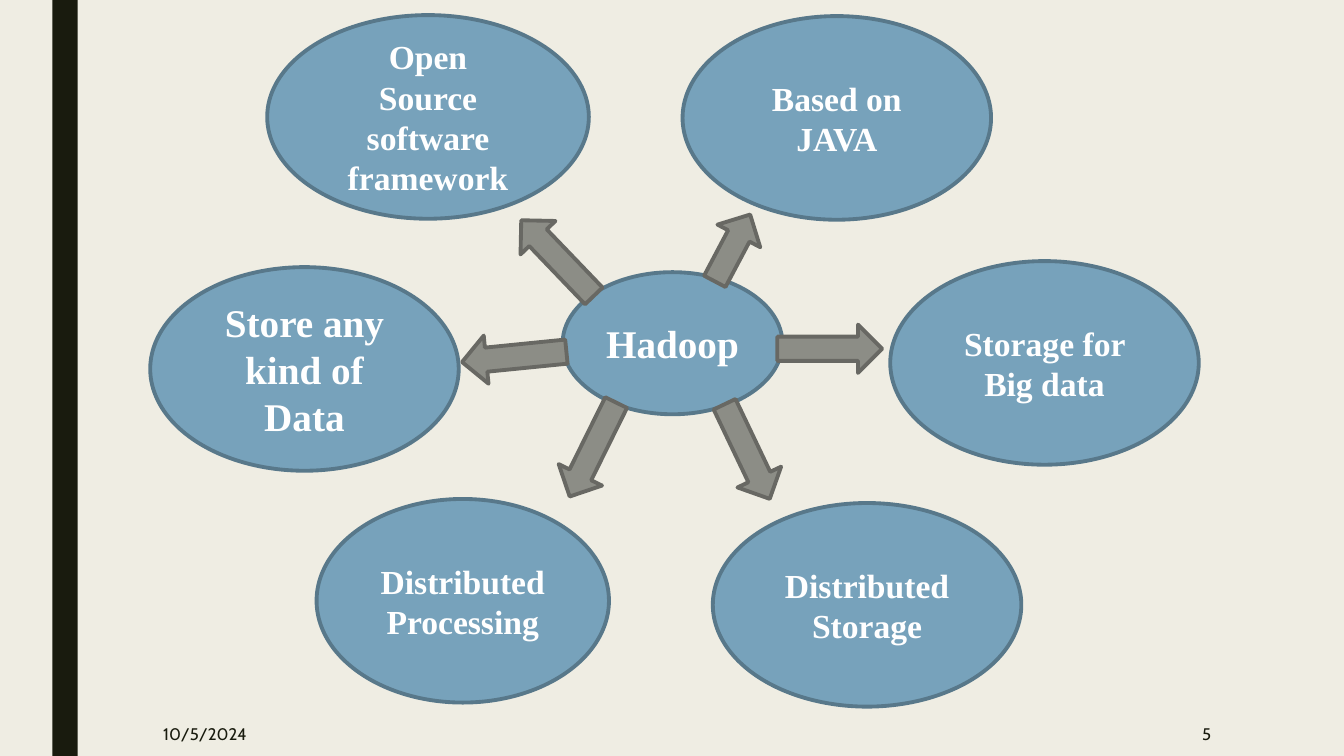
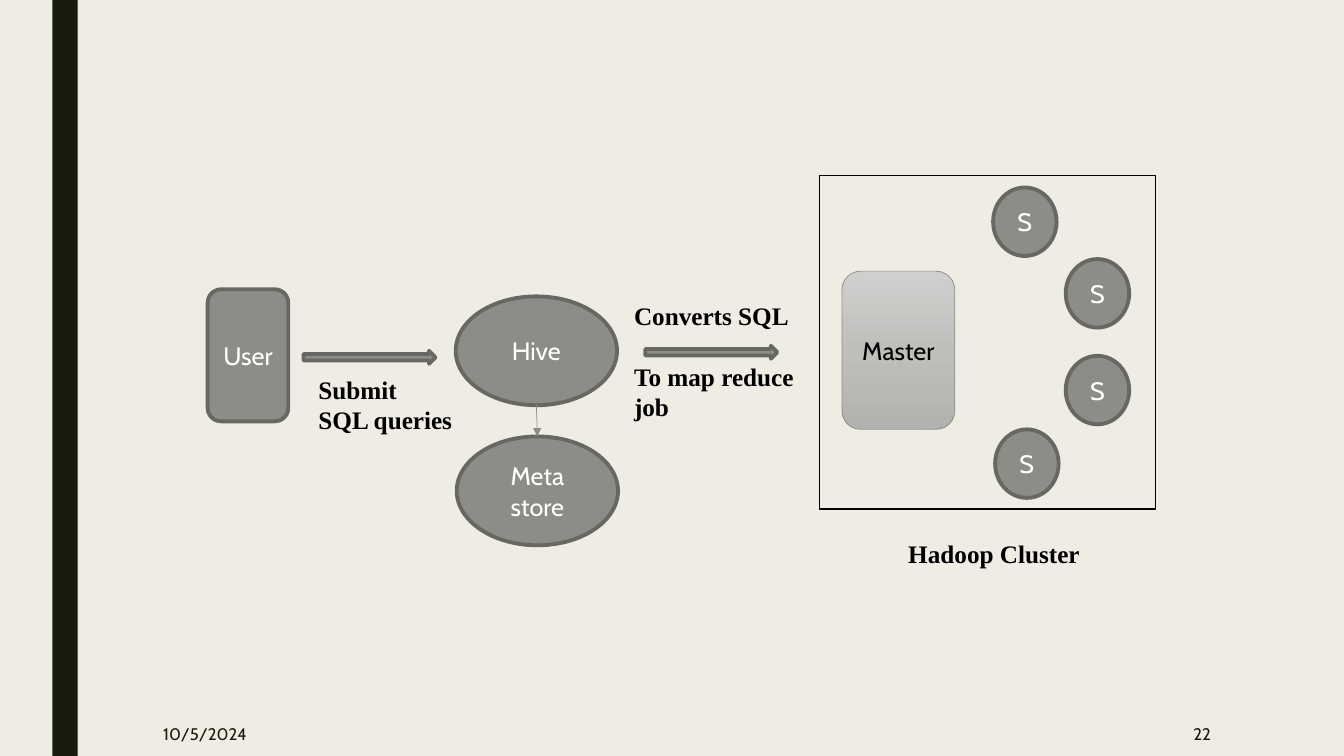
import copy

import pptx
import pptx.dml.color
import pptx.enum.shapes
import pptx.enum.text
import pptx.oxml
import pptx.oxml.ns
import pptx.util

Inches = pptx.util.Inches
Pt = pptx.util.Pt
RGBColor = pptx.dml.color.RGBColor
SHAPE = pptx.enum.shapes.MSO_SHAPE
ALIGN = pptx.enum.text.PP_ALIGN
ANCHOR = pptx.enum.text.MSO_ANCHOR
qn = pptx.oxml.ns.qn

CREAM = RGBColor(0xEF, 0xED, 0xE3)
INK = RGBColor(0x19, 0x1B, 0x0E)
BLUE = RGBColor(0x77, 0xA2, 0xBB)
BLUE_EDGE = RGBColor(0x58, 0x78, 0x8A)
GRAY = RGBColor(0x8C, 0x8D, 0x86)
GRAY_EDGE = RGBColor(0x68, 0x68, 0x63)
WHITE = RGBColor(0xFF, 0xFF, 0xFF)
BLACK = RGBColor(0x00, 0x00, 0x00)
MASTER_STOPS = [
    (0, RGBColor(0xCF, 0xCF, 0xCD)),
    (0.5, RGBColor(0xBE, 0xBE, 0xBB)),
    (1, RGBColor(0xB2, 0xB3, 0xAF)),
]

FOOTER = {"name": "Cabin", "size": Pt(12)}
NODE = {"name": "Cabin", "size": Pt(18)}
LABEL = {"name": "Times New Roman", "size": Pt(18), "bold": True}
FEATURE = {"name": "Times New Roman", "size": Pt(24), "bold": True}
FEATURE_LARGE = {**FEATURE, "size": Pt(28)}


def inches(box):
    return [Inches(v) for v in box]


def write(shape, text, font, color, align, anchor, gap=0):
    tf = shape.text_frame
    tf.word_wrap = True
    tf.vertical_anchor = anchor
    for i, line in enumerate(text.split("\n")):
        p = tf.add_paragraph() if i else tf.paragraphs[0]
        p.alignment = align
        if i and gap:
            p.space_before = Pt(gap)
        r = p.add_run()
        r.text = line
        for key, value in font.items():
            setattr(r.font, key, value)
        r.font.color.rgb = color


def add_text(s, box, text, font=LABEL, color=BLACK, align=ALIGN.LEFT, anchor=ANCHOR.TOP, gap=0):
    tb = s.shapes.add_textbox(*inches(box))
    write(tb, text, font, color, align, anchor, gap)


def add_shape(s, kind, box, fill=GRAY, edge=GRAY_EDGE, width=2.75, rotation=0):
    sp = s.shapes.add_shape(kind, *inches(box))
    sp.shadow.inherit = False
    sp.rotation = rotation
    if fill is None:
        sp.fill.background()
    else:
        sp.fill.solid()
        sp.fill.fore_color.rgb = fill
    if edge is None:
        sp.line.fill.background()
    else:
        sp.line.color.rgb = edge
        sp.line.width = Pt(width)
    return sp


def add_node(s, kind, box, text, font=NODE, color=WHITE, **look):
    sp = add_shape(s, kind, box, **look)
    write(sp, text, font, color, ALIGN.CENTER, ANCHOR.MIDDLE)
    return sp


def add_gradient(sp, stops):
    sp.fill.gradient()
    sp.fill.gradient_angle = 270
    gs_list = sp._element.spPr.find(qn("a:gradFill")).find(qn("a:gsLst"))
    while len(gs_list) < len(stops):
        gs_list.append(copy.deepcopy(gs_list[0]))
    for stop, (position, color) in zip(sp.fill.gradient_stops, stops):
        stop.position = position
        stop.color.rgb = color


def add_link(s, start, end):
    line = s.shapes.add_connector(
        pptx.enum.shapes.MSO_CONNECTOR.STRAIGHT, *inches(start + end))
    line.line.color.rgb = GRAY
    line.line.width = Pt(0.5)
    tail = pptx.oxml.parse_xml(
        '<a:tailEnd xmlns:a="http://schemas.openxmlformats.org/drawingml/2006/main" type="triangle"/>')
    line.line._get_or_add_ln().append(tail)
    sp_pr = line._element.spPr
    sp_pr.append(sp_pr.makeelement(qn("a:effectLst"), {}))


def add_base(prs, number):
    s = prs.slides.add_slide(prs.slide_layouts[6])
    add_shape(s, SHAPE.RECTANGLE, (0.52, 0, 0.25, 7.5), fill=INK, edge=None)
    add_text(s, (1.52, 7.06, 1.32, 0.44), "10/5/2024", FOOTER, INK, anchor=ANCHOR.MIDDLE)
    add_text(s, (10.36, 7.06, 1.75, 0.44), str(number), FOOTER, INK, ALIGN.RIGHT, ANCHOR.MIDDLE)
    return s


def build_features(prs):
    s = add_base(prs, 5)
    features = [
        ((5.58, 2.7, 2.18, 1.41), "Hadoop", FEATURE_LARGE),
        ((6.77, 0.16, 3.06, 2.02), "Based on JAVA", FEATURE),
        ((2.65, 0.15, 3.19, 2.02), "Open\nSource software framework", FEATURE),
        ((1.49, 2.65, 3.06, 2.02), "Store any kind of Data", FEATURE_LARGE),
        ((7.07, 4.99, 3.06, 2.02), "Distributed Storage", FEATURE),
        ((3.14, 4.95, 2.9, 2.02), "Distributed Processing", FEATURE),
        ((8.83, 2.59, 3.06, 2.02), "Storage for Big data", FEATURE),
    ]
    for box, text, font in features:
        add_node(s, SHAPE.OVAL, box, text, font, fill=BLUE, edge=BLUE_EDGE)
    arrows = [
        (7.71, 3.22, 1.04, 0),
        (4.58, 3.3, 1.04, 174.3),
        (6.89, 2.22, 0.75, 297.9),
        (6.89, 4.24, 1.04, 64.5),
        (5.36, 4.22, 1.04, 116.3),
        (5.01, 2.32, 1.04, 226.2),
    ]
    for left, top, length, angle in arrows:
        add_shape(s, SHAPE.RIGHT_ARROW, (left, top, length, 0.48), rotation=angle)


def build_hive_flow(prs):
    s = add_base(prs, 22)
    add_node(s, SHAPE.ROUNDED_RECTANGLE, (2.06, 2.87, 0.8, 1.31), "User")
    add_node(s, SHAPE.OVAL, (4.52, 2.94, 1.6, 1.08), "Hive")
    add_shape(s, SHAPE.RECTANGLE, (8.13, 1.74, 3.33, 3.31), fill=None, edge=BLACK, width=0.75)
    master = add_node(s, SHAPE.ROUNDED_RECTANGLE, (8.35, 2.69, 1.12, 1.57), "Master",
                      color=BLACK, edge=GRAY, width=0.5)
    add_gradient(master, MASTER_STOPS)
    for left, top in [(9.85, 1.86), (10.57, 2.57), (10.57, 3.53), (9.87, 4.26)]:
        add_node(s, SHAPE.OVAL, (left, top, 0.63, 0.68), "S")
    for left, top in [(3.01, 3.48), (6.4, 3.43)]:
        add_shape(s, SHAPE.RIGHT_ARROW, (left, top, 1.31, 0.13))
    add_text(s, (3.06, 3.66, 1.71, 0.71), "Submit\nSQL queries")
    add_text(s, (6.19, 2.93, 2.03, 1.31), "Converts SQL\nTo map reduce job", gap=22)
    add_node(s, SHAPE.OVAL, (4.53, 4.33, 1.6, 1.08), "Meta store")
    add_link(s, (5.32, 4.02), (5.33, 4.33))
    add_text(s, (8.91, 5.29, 2.17, 0.4), "Hadoop Cluster")


def main():
    prs = pptx.Presentation()
    prs.slide_width = Inches(13.33)
    prs.slide_height = Inches(7.5)
    background = prs.slide_master.background.fill
    background.solid()
    background.fore_color.rgb = CREAM
    build_features(prs)
    build_hive_flow(prs)
    prs.save("out.pptx")


if __name__ == "__main__":
    main()
